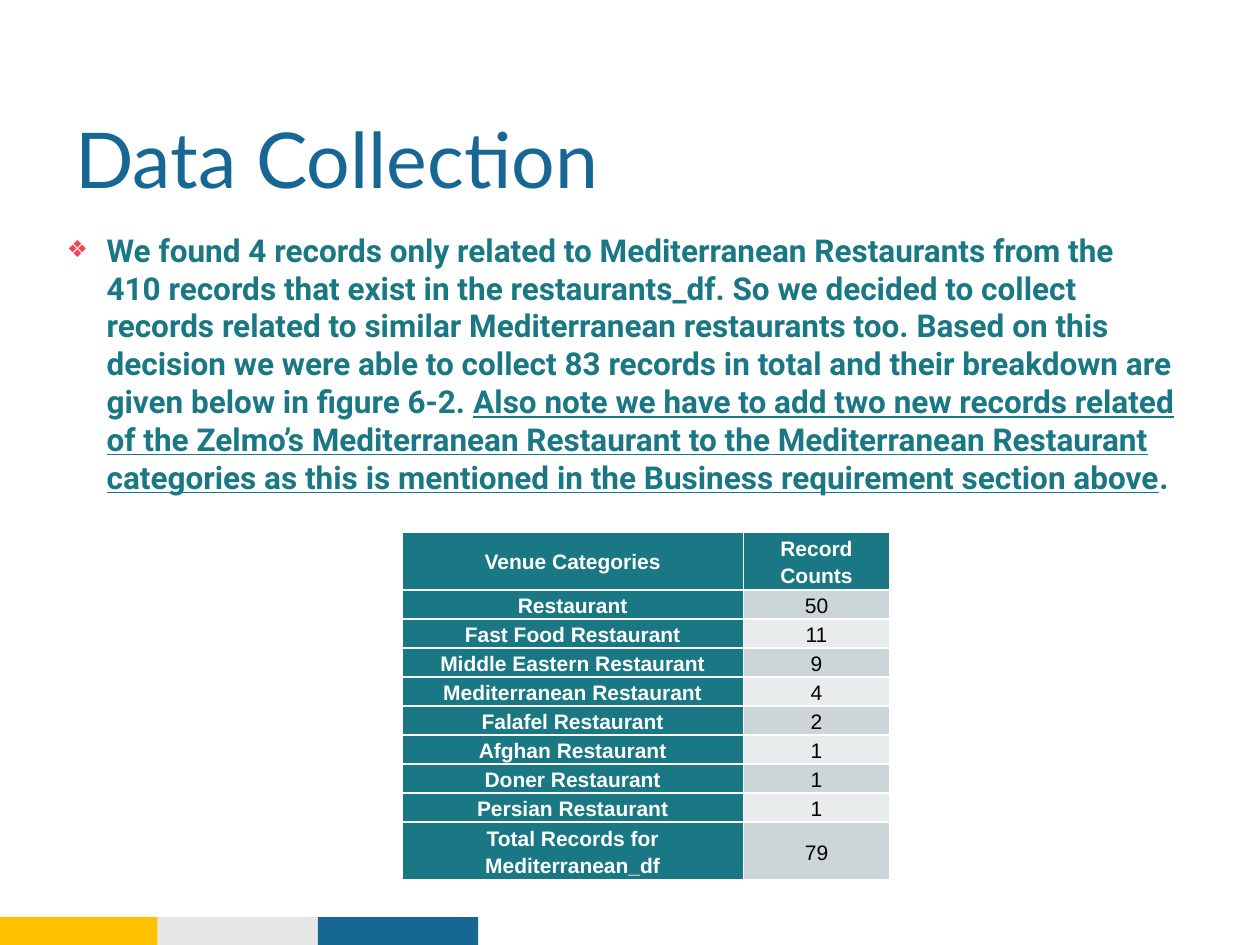
from dataclasses import dataclass

from lxml import etree
from pptx import Presentation
from pptx import util as u
from pptx.dml.color import RGBColor
from pptx.enum import shapes, text
from pptx.oxml import ns


@dataclass(frozen=True)
class Theme:
    blue: str = "176795"
    teal: str = "197883"
    yellow: str = "FFC000"
    grey: str = "E7E6E6"
    red: str = "EF4755"
    white: str = "FFFFFF"
    black: str = "000000"
    bands: tuple[str, str] = ("CCD6D9", "E8ECED")
    title_font: str = "Lato"
    body_font: str = "Roboto"
    table_font: str = "Arial"
    title_size: int = 44
    body_size: int = 18
    table_size: int = 12


@dataclass(frozen=True)
class Box:
    left: float
    top: float
    width: float
    height: float

    def lengths(self) -> tuple[u.Length, ...]:
        return tuple(u.Cm(value) for value in (self.left, self.top, self.width, self.height))


@dataclass(frozen=True)
class VenueRow:
    category: str
    count: str
    lines: int = 1


THEME = Theme()
LINE_HEIGHT = 0.54
COLUMN_WIDTHS = (6.89, 2.94)
STRIPE = Box(-0.05, 18.49, 3.23, 0.56)
VENUE_ROWS = (
    VenueRow("Venue Categories", "Record Counts", 2),
    VenueRow("Restaurant", "50"),
    VenueRow("Fast Food Restaurant", "11"),
    VenueRow("Middle Eastern Restaurant", "9"),
    VenueRow("Mediterranean Restaurant", "4"),
    VenueRow("Falafel Restaurant", "2"),
    VenueRow("Afghan Restaurant", "1"),
    VenueRow("Doner Restaurant", "1"),
    VenueRow("Persian Restaurant", "1"),
    VenueRow("Total Records for Mediterranean_df", "79", 2),
)
FINDING = (
    "We found 4 records only related to Mediterranean Restaurants from the 410 records "
    "that exist in the restaurants_df. So we decided to collect records related to similar "
    "Mediterranean restaurants too. Based on this decision we were able to collect 83 records "
    "in total and their breakdown are given below in figure 6-2. "
)
NOTE = (
    "Also note we have to add two new records related of the Zelmo’s Mediterranean Restaurant "
    "to the Mediterranean Restaurant categories as this is mentioned in the Business "
    "requirement section above"
)


def set_font(paragraph, name: str, size: int, color: str, bold: bool = False) -> None:
    font = paragraph.font
    font.name, font.size, font.bold = name, u.Pt(size), bold
    font.color.rgb = RGBColor.from_string(color)


def add_stripe(slide, index: int, color: str) -> None:
    box = Box(STRIPE.left + index * STRIPE.width, STRIPE.top, STRIPE.width, STRIPE.height)
    shape = slide.shapes.add_shape(shapes.MSO_SHAPE.RECTANGLE, *box.lengths())
    shape.shadow.inherit = False
    shape.fill.solid()
    shape.fill.fore_color.rgb = RGBColor.from_string(color)
    shape.line.fill.background()


def add_text_frame(slide, box: Box, anchor: text.MSO_ANCHOR):
    frame = slide.shapes.add_textbox(*box.lengths()).text_frame
    frame.word_wrap = True
    frame.vertical_anchor = anchor
    return frame


def add_bullet(paragraph, character: str, color: str, percent: int, indent: float) -> None:
    properties = paragraph._p.get_or_add_pPr()
    properties.set("marL", str(u.Cm(indent)))
    properties.set("indent", str(-u.Cm(indent)))
    bullet_color = etree.SubElement(properties, ns.qn("a:buClr"))
    etree.SubElement(bullet_color, ns.qn("a:srgbClr"), val=color)
    etree.SubElement(properties, ns.qn("a:buSzPct"), val=str(percent * 1000))
    etree.SubElement(properties, ns.qn("a:buFont"), typeface="Arial")
    etree.SubElement(properties, ns.qn("a:buChar"), char=character)


def fill_cell(cell, content: str, fill: str, color: str, bold: bool) -> None:
    cell.fill.solid()
    cell.fill.fore_color.rgb = RGBColor.from_string(fill)
    cell.vertical_anchor = text.MSO_ANCHOR.MIDDLE
    cell.margin_left = cell.margin_right = u.Cm(0.18)
    cell.margin_top = cell.margin_bottom = 0
    cell.text = content
    paragraph = cell.text_frame.paragraphs[0]
    paragraph.alignment = text.PP_ALIGN.CENTER
    paragraph.line_spacing = 1.15
    set_font(paragraph, THEME.table_font, THEME.table_size, color, bold)


def add_venue_table(slide, left: float, top: float) -> None:
    height = LINE_HEIGHT * sum(row.lines for row in VENUE_ROWS)
    box = Box(left, top, sum(COLUMN_WIDTHS), height)
    table = slide.shapes.add_table(len(VENUE_ROWS), len(COLUMN_WIDTHS), *box.lengths()).table
    table.first_col = True
    for column, width in zip(table.columns, COLUMN_WIDTHS):
        column.width = u.Cm(width)
    for index, row in enumerate(VENUE_ROWS):
        table.rows[index].height = u.Cm(LINE_HEIGHT * row.lines)
        for column, content in enumerate((row.category, row.count)):
            heading = index == 0 or column == 0
            fill = THEME.teal if heading else THEME.bands[(index - 1) % 2]
            color = THEME.white if heading else THEME.black
            fill_cell(table.cell(index, column), content, fill, color, heading)


def main() -> None:
    """Build the data collection slide and save it."""
    presentation = Presentation()
    presentation.slide_width, presentation.slide_height = u.Cm(25.4), u.Cm(19.05)
    slide = presentation.slides.add_slide(presentation.slide_layouts[6])

    for index, color in enumerate((THEME.yellow, THEME.grey, THEME.blue)):
        add_stripe(slide, index, color)

    title = add_text_frame(slide, Box(1.27, 1.27, 18.42, 3.81), text.MSO_ANCHOR.MIDDLE)
    title.text = "Data Collection"
    set_font(title.paragraphs[0], THEME.title_font, THEME.title_size, THEME.blue)

    body = add_text_frame(slide, Box(1.1, 4.53, 22.83, 6.02), text.MSO_ANCHOR.TOP)
    paragraph = body.paragraphs[0]
    add_bullet(paragraph, "❖", THEME.red, 75, 0.8)
    set_font(paragraph, THEME.body_font, THEME.body_size, THEME.teal, True)
    for content, underlined in ((FINDING, False), (NOTE, True), (".", False)):
        run = paragraph.add_run()
        run.text = content
        run.font.underline = underlined

    add_venue_table(slide, 8.1, 10.72)
    presentation.save("out.pptx")


if __name__ == "__main__":
    main()
